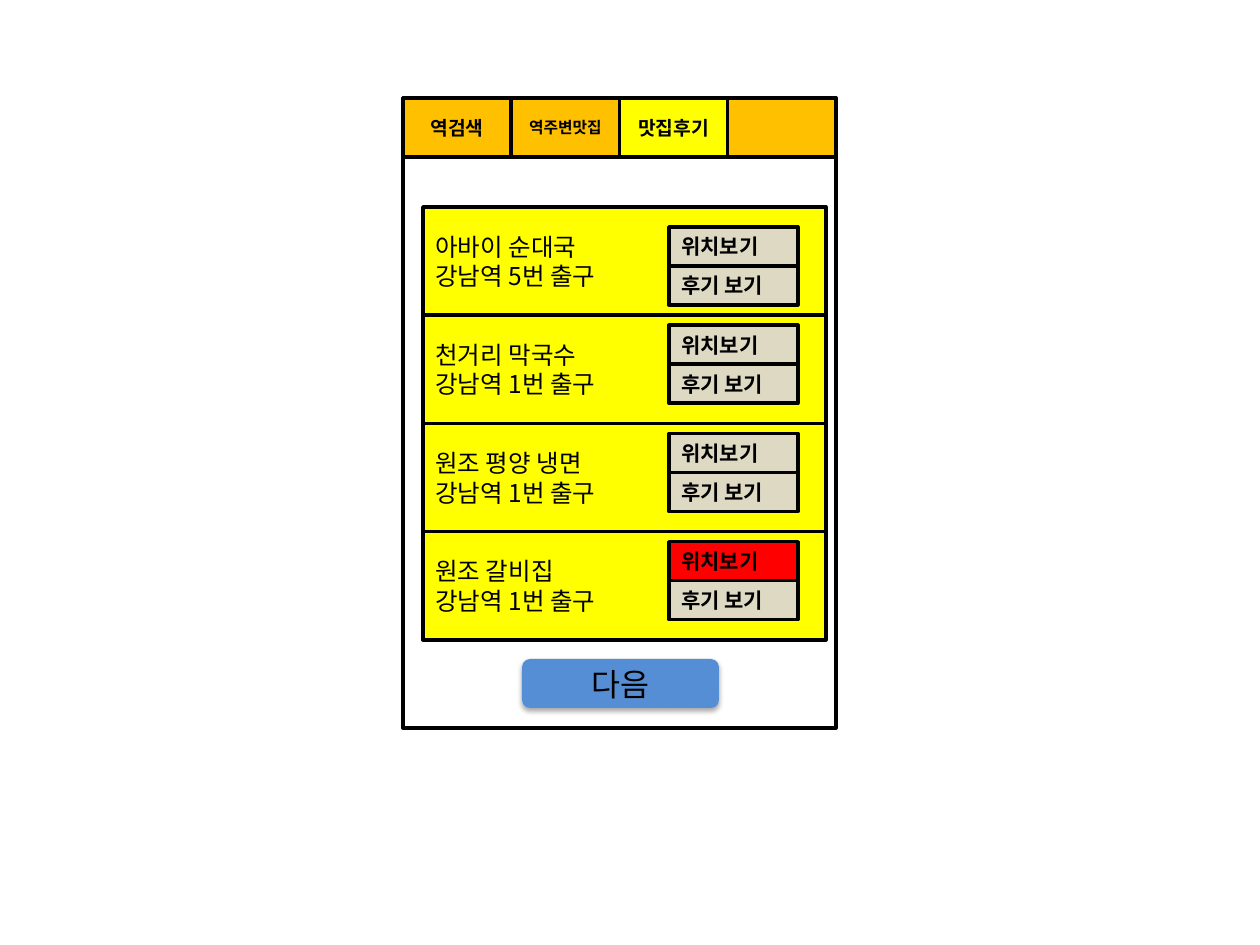
"""Build the restaurant review screen mockup."""
from lxml import etree
from pptx import Presentation
from pptx import util as u
from pptx.dml.color import RGBColor
from pptx.enum import shapes, text
from pptx.oxml.ns import qn

PX = 914400 / 126
FONT = "Noto Sans CJK KR"
COLORS = {"black": "000000", "orange": "FFC000", "yellow": "FFFF00",
          "beige": "DDD9C3", "red": "FF0000", "blue": "558ED5"}
RECT = shapes.MSO_SHAPE.RECTANGLE
LEFT, CENTER = text.PP_ALIGN.LEFT, text.PP_ALIGN.CENTER


def px(n):
    return u.Emu(round(n * PX))


def add_box(x, y, w, h, fill=None, lines=(), size=12, bold=False, align=LEFT, kind=RECT):
    sp = slide.shapes.add_shape(kind, px(x), px(y), px(w), px(h))
    sp.shadow.inherit = False
    if fill:
        sp.fill.solid()
        sp.fill.fore_color.rgb = RGBColor.from_string(COLORS[fill])
    else:
        sp.fill.background()
    sp.line.color.rgb = RGBColor.from_string(COLORS["black"])
    sp.line.width = u.Pt(2)
    tf = sp.text_frame
    tf.vertical_anchor = text.MSO_ANCHOR.MIDDLE
    for i, line in enumerate(lines):
        p = tf.add_paragraph() if i else tf.paragraphs[0]
        p.text = line
        p.alignment = align
        p.font.size = u.Pt(size)
        p.font.bold = bold
        p.font.color.rgb = RGBColor.from_string(COLORS["black"])
        p.font.name = FONT
        latin = p._p.pPr.find(qn("a:defRPr")).find(qn("a:latin"))
        ea = etree.Element(qn("a:ea"), typeface=FONT)
        latin.addnext(ea)
    return sp


prs = Presentation()
prs.slide_width, prs.slide_height = px(1260), px(945)
slide = prs.slides.add_slide(prs.slide_layouts[6])

add_box(403, 98, 433, 630)

tabs = [("역검색", 11, "orange"), ("역주변맛집", 9, "orange"),
        ("맛집후기", 11, "yellow"), ("", 11, "orange")]
tab_w = 433 / len(tabs)
for i, (label, size, fill) in enumerate(tabs):
    add_box(403 + i * tab_w, 98, tab_w, 59, fill, [label] if label else [], size, True, CENTER)

restaurants = [("아바이 순대국", 5, 20, "beige"), ("천거리 막국수", 1, 10, "beige"),
               ("원조 평양 냉면", 1, 10, "beige"), ("원조 갈비집", 1, 10, "red")]
row_h = 433 / len(restaurants)
for i, (name, gate, inset, fill) in enumerate(restaurants):
    y = 207 + i * row_h
    add_box(423, y, 403, row_h, "yellow", [name, f"강남역 {gate}번 출구"], 14)
    add_box(669, y + inset, 129, 39, fill, ["위치보기"], 12, True)
    add_box(669, y + inset + 39, 129, 39, "beige", ["후기 보기"], 12, True)

next_button = add_box(522, 659, 197, 49, "blue", ["다음"], 18, align=CENTER,
                      kind=shapes.MSO_SHAPE.ROUNDED_RECTANGLE)
next_button.line.fill.background()
effects = next_button._element.spPr.find(qn("a:effectLst"))
shadow = etree.SubElement(effects, qn("a:outerShdw"), blurRad=str(u.Pt(3.1)),
                          dist=str(u.Pt(1.8)), dir="5400000", rotWithShape="0")
color = etree.SubElement(shadow, qn("a:srgbClr"), val=COLORS["black"])
etree.SubElement(color, qn("a:alpha"), val="35000")

prs.save("out.pptx")
